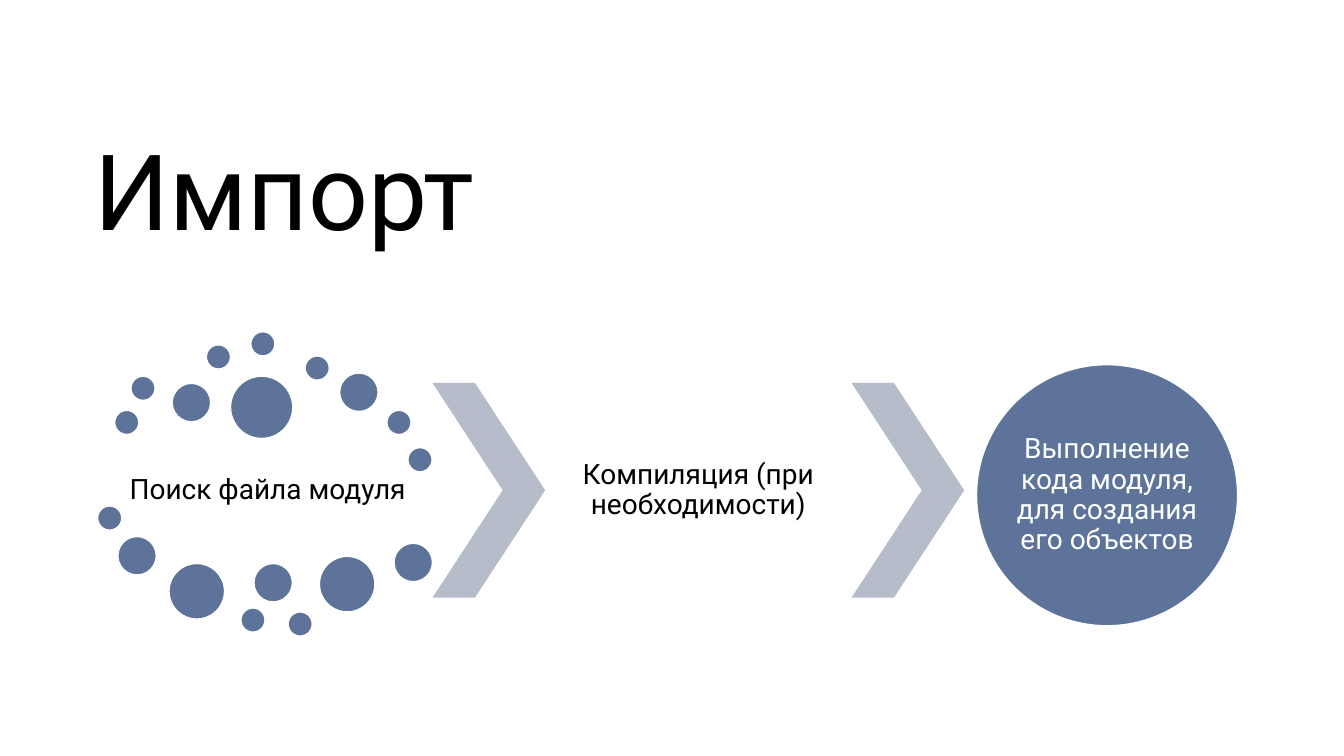
from pptx import Presentation
from pptx.dml.color import RGBColor
from pptx.enum.shapes import MSO_SHAPE
from pptx.enum.text import MSO_ANCHOR, MSO_AUTO_SIZE, PP_ALIGN
from pptx.util import Cm, Pt

OVAL, CHEVRON = MSO_SHAPE.OVAL, MSO_SHAPE.CHEVRON
MIDDLE = MSO_ANCHOR.MIDDLE
LEFT, CENTER = PP_ALIGN.LEFT, PP_ALIGN.CENTER
NO_FIT = MSO_AUTO_SIZE.NONE

BLACK = RGBColor(0x00, 0x00, 0x00)
WHITE = RGBColor(0xFF, 0xFF, 0xFF)
BLUE = RGBColor(0x5D, 0x73, 0x9A)
GREY = RGBColor(0xB6, 0xBC, 0xCA)
FONT = "Roboto"

# Dot diameter -> left and top of each dot within the search box, in cm
DOTS = {
    0.61: [(0.43, 1.98), (0.84, 1.12), (2.74, 0.33), (3.86, 0), (5.23, 0.61),
           (7.29, 1.98), (7.82, 2.92), (0, 4.39), (3.61, 6.96), (4.8, 7.06)],
    0.97: [(1.88, 1.3), (6.1, 1.04), (0.51, 5.16), (3.94, 5.84), (7.47, 5.33)],
    1.4: [(1.8, 5.84), (5.59, 5.66)],
    1.57: [(3.35, 1.12)],
}
STEP_W = 7.72
ARROW_W, ARROW_H = 2.84, 5.41
ARROW_LEFT, ARROW_TOP = 10.9, 9.65


def write(tf, text, size, color, align=CENTER, inset=0.0):
    """Set one paragraph of text, centred vertically in its frame."""
    tf.word_wrap = True
    tf.auto_size = NO_FIT
    tf.vertical_anchor = MIDDLE
    tf.margin_left = tf.margin_right = tf.margin_top = tf.margin_bottom = Cm(inset)
    p = tf.paragraphs[0]
    p.alignment = align
    p.line_spacing = 0.9
    r = p.add_run()
    r.text = text
    r.font.name = FONT
    r.font.size = Pt(size)
    r.font.color.rgb = color


def add_figure(s, kind, left, top, width, height, fill, line=None):
    """Add a flat preset shape, outlined only when a line colour is given."""
    sp = s.shapes.add_shape(kind, Cm(left), Cm(top), Cm(width), Cm(height))
    sp.shadow.inherit = False
    sp.fill.solid()
    sp.fill.fore_color.rgb = fill
    if line is None:
        sp.line.fill.background()
    else:
        sp.line.color.rgb = line
        sp.line.width = Pt(1)
    return sp


def add_title(s, left, top, width, height):
    """Place and format the title placeholder."""
    sp = s.shapes.title
    sp.left, sp.top, sp.width, sp.height = Cm(left), Cm(top), Cm(width), Cm(height)
    write(sp.text_frame, "Импорт", 75.2, BLACK, LEFT)


def add_label(s, text, left, top, width, height):
    """Add the caption of a step."""
    sp = s.shapes.add_textbox(Cm(left), Cm(top), Cm(width), Cm(height))
    write(sp.text_frame, text, 20, BLACK, inset=0.08)


def add_search(s, left, top):
    """Draw the first step: a caption within a ring of scattered dots."""
    add_label(s, "Поиск файла модуля", left + 0.43, top + 2.74, STEP_W, 2.54)
    for size, places in DOTS.items():
        for x, y in places:
            add_figure(s, OVAL, left + x, top + y, size, size, BLUE, WHITE)


def add_compilation(s, left, top):
    """Draw the second step: a caption between two chevrons."""
    text_left = left + ARROW_W
    for x in (left, text_left + STEP_W):
        sp = add_figure(s, CHEVRON, x, top, ARROW_W, ARROW_H, GREY)
        sp.adjustments[0] = 0.623
    add_label(s, "Компиляция (при необходимости)",
              text_left, top, STEP_W, ARROW_H)


def add_execution(s, left, top, size):
    """Draw the final step: a disc holding its caption."""
    sp = add_figure(s, OVAL, left, top, size, size, BLUE, WHITE)
    write(sp.text_frame, "Выполнение кода модуля, для создания его объектов",
          20, WHITE)


def main():
    """Build the slide and save it."""
    prs = Presentation()
    prs.slide_width, prs.slide_height = Cm(33.87), Cm(19.05)
    s = prs.slides.add_slide(prs.slide_layouts[5])
    add_title(s, 2.39, 3.1, 29.21, 3.68)
    add_search(s, 2.46, 8.36)
    add_compilation(s, ARROW_LEFT, ARROW_TOP)
    add_execution(s, 24.61, 9.19, 6.58)
    prs.save("out.pptx")


main()
